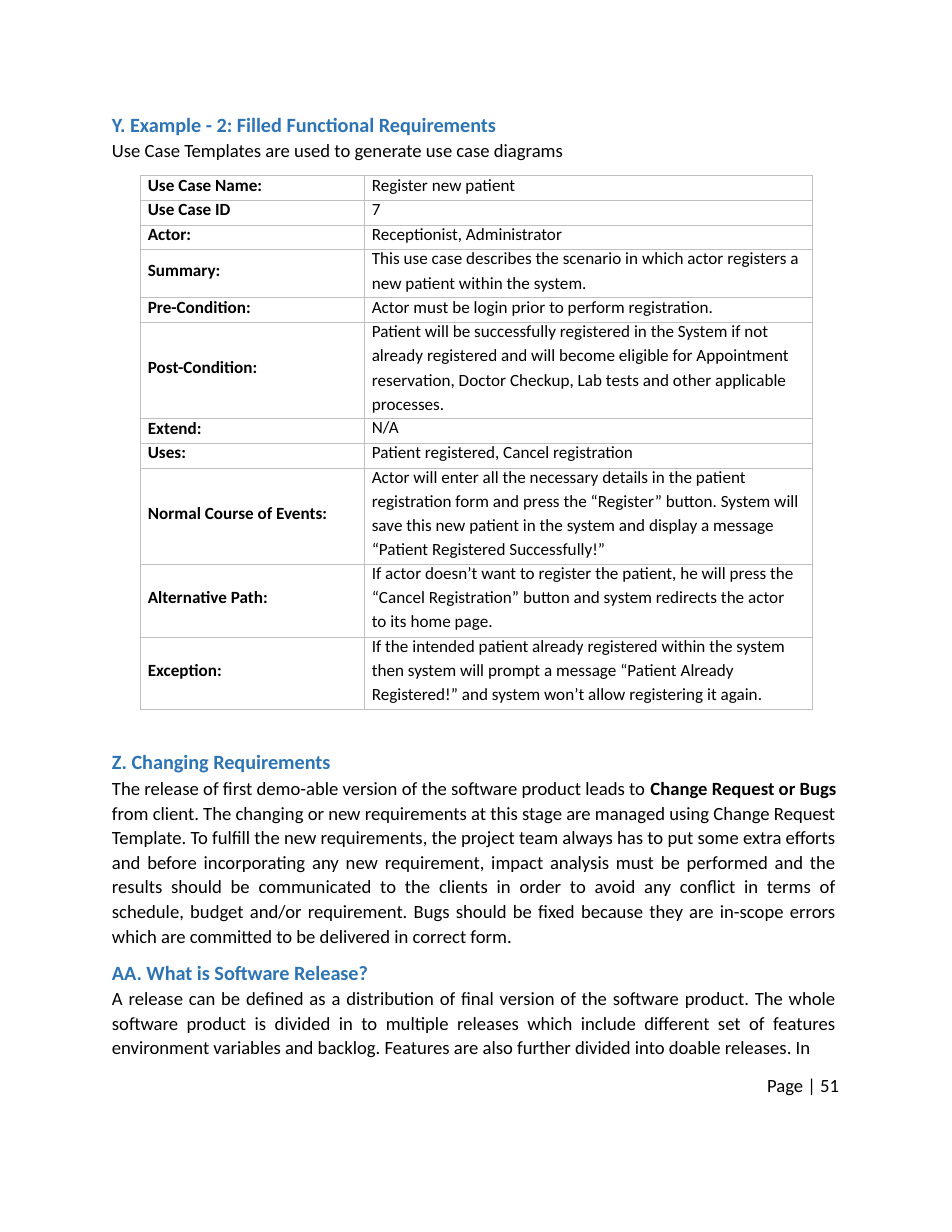
from pptx import Presentation
from pptx.dml.color import RGBColor
from pptx.enum.text import MSO_ANCHOR as Anchor, PP_ALIGN as Align
from pptx.util import Inches, Pt
from lxml.etree import SubElement
from pptx.oxml.ns import qn

COLORS = {"heading": "2D74B5", "text": "000000", "border": "BFBFBF"}
HEADING = {"size": Pt(13), "bold": True, "color": "heading"}
BODY = {"size": Pt(12), "bold": False, "color": "text"}
STRONG = {**BODY, "bold": True}
CELL = {**BODY, "size": Pt(11)}
LABEL = {**CELL, "bold": True}

deck = Presentation()
deck.slide_width, deck.slide_height = Inches(8.5), Inches(11)
page = deck.slides.add_slide(deck.slide_layouts[6])


def write(frame, paragraphs):
    """Fill a frame with (format, [(text, font), ...]) paragraphs."""
    frame.word_wrap = True
    for index, (layout, spans) in enumerate(paragraphs):
        para = frame.add_paragraph() if index else frame.paragraphs[0]
        for name, value in layout.items():
            setattr(para, name, value)
        for text, style in spans:
            span = para.add_run()
            span.text = text
            span.font.name = "Calibri"
            span.font.size, span.font.bold = style["size"], style["bold"]
            span.font.color.rgb = RGBColor.from_string(COLORS[style["color"]])


def add_text(left, top, width, height, paragraphs):
    box = page.shapes.add_textbox(Inches(left), Inches(top), Inches(width), Inches(height))
    frame = box.text_frame
    frame.margin_left = frame.margin_right = frame.margin_top = frame.margin_bottom = 0
    write(frame, paragraphs)


# Opening heading
add_text(1, 1, 5, 0.45, [
    ({}, [("Y. Example - 2: Filled Functional Requirements", HEADING)]),
    ({"space_before": Pt(1.5)}, [("Use Case Templates are used to generate use case diagrams", BODY)]),
])

# Use case table: label and the lines of its description
use_case = [
    ("Use Case Name:", ["Register new patient"]),
    ("Use Case ID", ["7"]),
    ("Actor:", ["Receptionist, Administrator"]),
    ("Summary:", ["This use case describes the scenario in which actor registers a",
                  "new patient within the system."]),
    ("Pre-Condition:", ["Actor must be login prior to perform registration."]),
    ("Post-Condition:", ["Patient will be successfully registered in the System if not",
                         "already registered and will become eligible for Appointment",
                         "reservation, Doctor Checkup, Lab tests and other applicable",
                         "processes."]),
    ("Extend:", ["N/A"]),
    ("Uses:", ["Patient registered, Cancel registration"]),
    ("Normal Course of Events:", ["Actor will enter all the necessary details in the patient",
                                  "registration form and press the “Register” button. System will",
                                  "save this new patient in the system and display a message",
                                  "“Patient Registered Successfully!”"]),
    ("Alternative Path:", ["If actor doesn’t want to register the patient, he will press the",
                           "“Cancel Registration” button and system redirects the actor",
                           "to its home page."]),
    ("Exception:", ["If the intended patient already registered within the system",
                    "then system will prompt a message “Patient Already",
                    "Registered!” and system won’t allow registering it again."]),
]
row_heights = {1: 0.22, 2: 0.43, 3: 0.65, 4: 0.86}
table = page.shapes.add_table(len(use_case), 2, Inches(1.25), Inches(1.57),
                              Inches(6), Inches(4.77)).table
table.first_row = table.horz_banding = False
table.columns[0].width, table.columns[1].width = Inches(2), Inches(4)

for row, (label, lines) in enumerate(use_case):
    table.rows[row].height = Inches(row_heights[len(lines)])
    first = {"line_spacing": Pt(12.8)}
    later = {"line_spacing": Pt(15.6)}
    contents = [
        [(first, [(label, LABEL)])],
        [(later if index else first, [(line, CELL)]) for index, line in enumerate(lines)],
    ]
    for column, paragraphs in enumerate(contents):
        cell = table.cell(row, column)
        cell.margin_left = Inches(0.07)
        cell.margin_right = cell.margin_top = 0
        cell.margin_bottom = 0 if column else Inches(0.04)
        cell.vertical_anchor = Anchor.TOP if column else Anchor.MIDDLE
        write(cell.text_frame, paragraphs)
        # Thin grey borders, placed before the fill
        properties = cell._tc.get_or_add_tcPr()
        for side in ("a:lnL", "a:lnR", "a:lnT", "a:lnB"):
            line = SubElement(properties, qn(side), w=str(Pt(0.5)))
            SubElement(SubElement(line, qn("a:solidFill")), qn("a:srgbClr"), val=COLORS["border"])
        cell.fill.background()

# Running text
justified = {"alignment": Align.JUSTIFY, "line_spacing": Pt(15.8)}
add_text(1, 6.69, 6.47, 2.78, [
    ({}, [("Z. Changing Requirements", HEADING)]),
    ({**justified, "space_before": Pt(0.8)}, [
        ("The release of first demo-able version of the software product leads to ", BODY),
        ("Change Request or Bugs", STRONG),
        (" from client. The changing or new requirements at this stage are managed using "
         "Change Request Template. To fulfill the new requirements, the project team always "
         "has to put some extra efforts and before incorporating any new requirement, impact "
         "analysis must be performed and the results should be communicated to the clients in "
         "order to avoid any conflict in terms of schedule, budget and/or requirement. Bugs "
         "should be fixed because they are in-scope errors which are committed to be "
         "delivered in correct form.", BODY),
    ]),
    ({"space_before": Pt(8.8)}, [("AA. What is Software Release?", HEADING)]),
    ({**justified, "space_before": Pt(0.1)}, [
        ("A release can be defined as a distribution of final version of the software product. "
         "The whole software product is divided in to multiple releases which include "
         "different set of features environment variables and backlog. Features are also "
         "further divided into doable releases. In", BODY),
    ]),
])

# Page number
add_text(6.85, 9.59, 0.8, 0.2, [({}, [("Page | 51", BODY)])])

deck.save("out.pptx")
